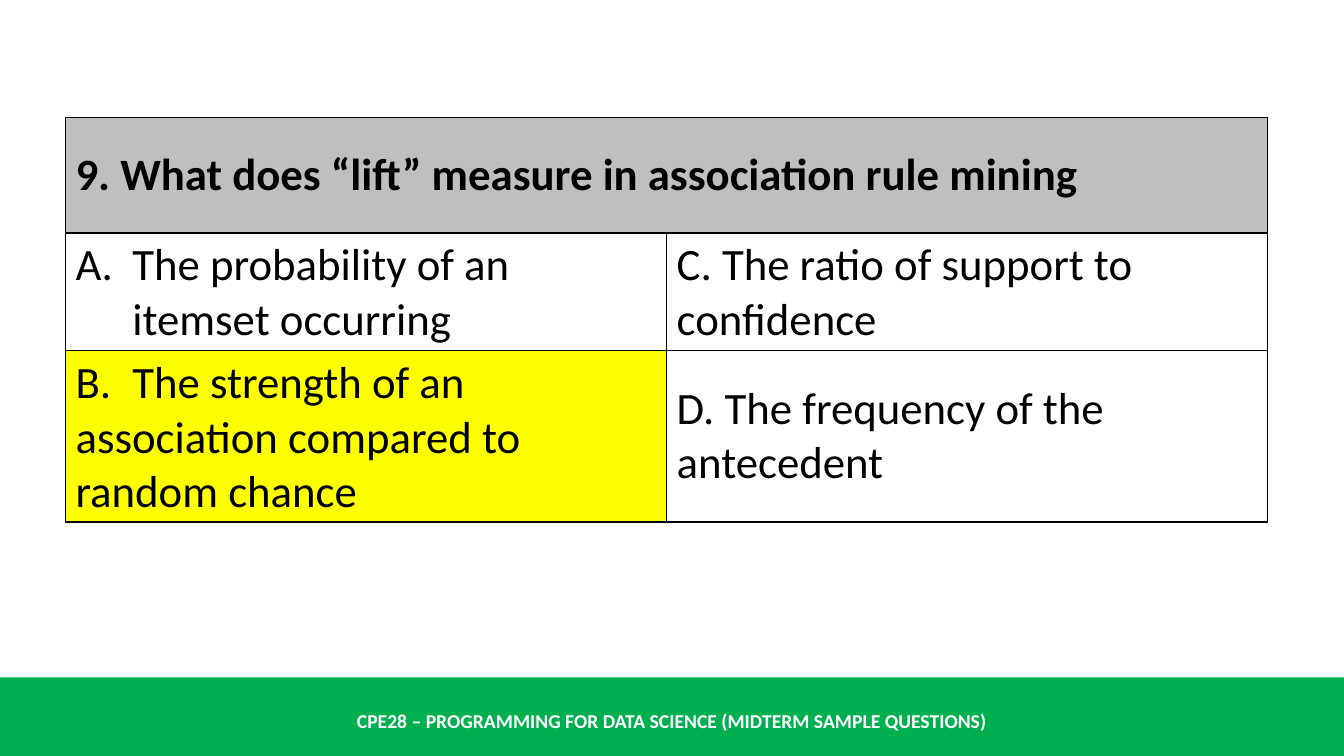
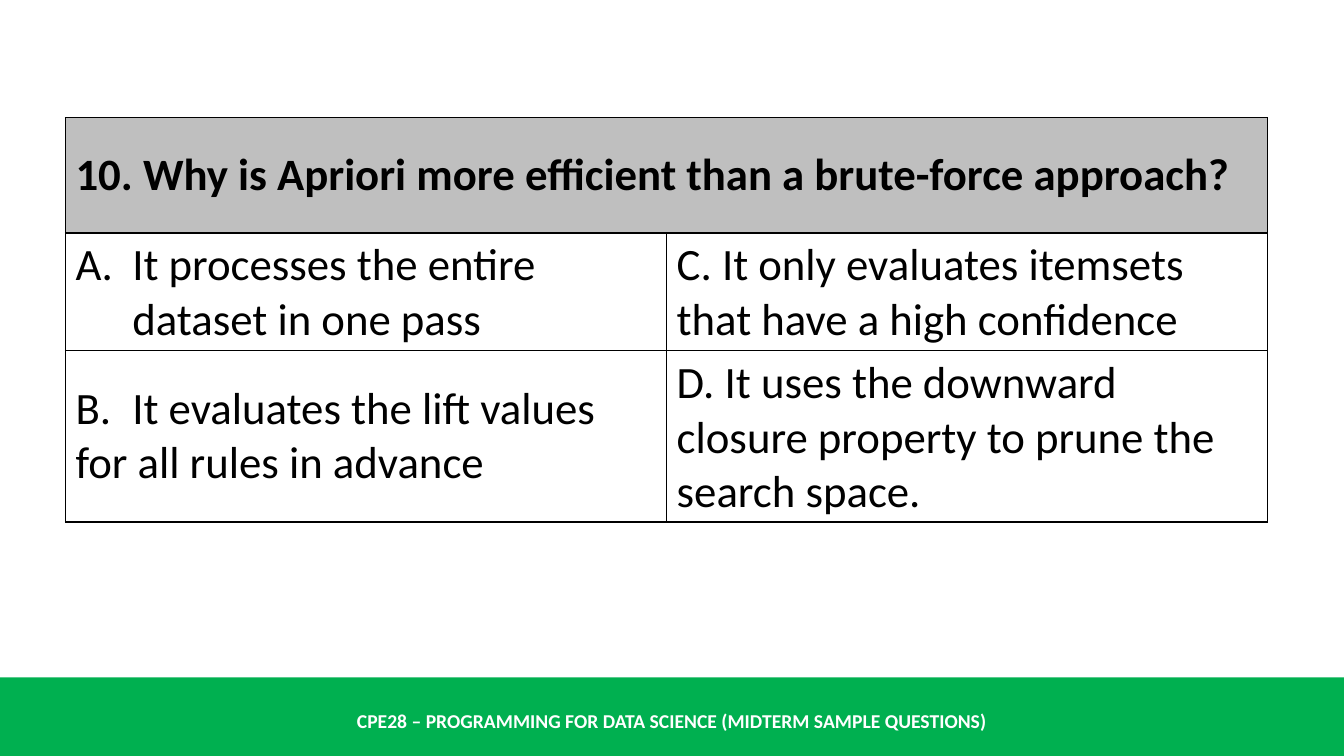
from dataclasses import dataclass

import pptx
import pptx.dml.color
import pptx.enum.shapes
import pptx.enum.text
import pptx.oxml.ns
import pptx.slide
import pptx.table
import pptx.text.text
import pptx.util
from lxml import etree

Cm = pptx.util.Cm
Pt = pptx.util.Pt
RGBColor = pptx.dml.color.RGBColor
qn = pptx.oxml.ns.qn

BLACK = RGBColor(0x00, 0x00, 0x00)
WHITE = RGBColor(0xFF, 0xFF, 0xFF)
GREEN = RGBColor(0x00, 0xB0, 0x50)
GREY = RGBColor(0xBF, 0xBF, 0xBF)
YELLOW = RGBColor(0xFF, 0xFF, 0x00)

FONT = "Calibri"
SLIDE_WIDTH = Cm(33.87)
SLIDE_HEIGHT = Cm(19.05)
BAND_HEIGHT = Cm(1.98)
TABLE_LEFT = Cm(1.65)
TABLE_TOP = Cm(2.97)
COLUMN_WIDTH = Cm(15.15)
ROW_HEIGHT = Cm(2.9)
LETTER_INDENT = Cm(1.43)
FOOTER = "CPE28 – PROGRAMMING FOR DATA SCIENCE (MIDTERM SAMPLE QUESTIONS)"


@dataclass(frozen=True)
class Question:
    prompt: str
    first: str
    second: str
    third: str
    fourth: str
    highlighted: str = ""


QUESTIONS = [
    Question(
        "9. What does “lift” measure in association rule mining",
        "The probability of an itemset occurring",
        "B.\tThe strength of an association compared to random chance",
        "C. The ratio of support to confidence",
        "D. The frequency of the antecedent",
        highlighted="second",
    ),
    Question(
        "10. Why is Apriori more efficient than a brute-force approach?",
        "It processes the entire dataset in one pass",
        "B.\tIt evaluates the lift values for all rules in advance",
        "C. It only evaluates itemsets that have a high confidence",
        "D. It uses the downward closure property to prune the search space.",
    ),
]
ANSWER_CELLS = {"first": (1, 0), "second": (2, 0), "third": (1, 1), "fourth": (2, 1)}


def write(para: pptx.text.text._Paragraph, text: str, size: int,
          color: RGBColor, bold: bool) -> None:
    span = para.add_run()
    span.text = text
    span.font.name = FONT
    span.font.size = Pt(size)
    span.font.bold = bold
    span.font.color.rgb = color


def add_footer(page: pptx.slide.Slide) -> None:
    band = page.shapes.add_shape(
        pptx.enum.shapes.MSO_SHAPE.RECTANGLE,
        0, SLIDE_HEIGHT - BAND_HEIGHT, SLIDE_WIDTH, BAND_HEIGHT)
    band.shadow.inherit = False
    band.fill.solid()
    band.fill.fore_color.rgb = GREEN
    band.line.fill.background()

    box = page.shapes.add_textbox(0, Cm(17.65), SLIDE_WIDTH, Cm(1.02))
    frame = box.text_frame
    frame.word_wrap = True
    frame.vertical_anchor = pptx.enum.text.MSO_ANCHOR.MIDDLE
    para = frame.paragraphs[0]
    para.alignment = pptx.enum.text.PP_ALIGN.CENTER
    write(para, FOOTER, 14, WHITE, True)


def outline(cell: pptx.table._Cell) -> None:
    properties = cell._tc.get_or_add_tcPr()
    for side in ("a:lnL", "a:lnR", "a:lnT", "a:lnB"):
        line = etree.SubElement(properties, qn(side), w=str(Pt(1)))
        fill = etree.SubElement(line, qn("a:solidFill"))
        etree.SubElement(fill, qn("a:srgbClr"), val=str(BLACK))


def paint(cell: pptx.table._Cell, color: RGBColor) -> None:
    cell.fill.solid()
    cell.fill.fore_color.rgb = color


def number_with_letter(para: pptx.text.text._Paragraph) -> None:
    properties = para._p.get_or_add_pPr()
    properties.set("marL", str(LETTER_INDENT))
    properties.set("indent", str(-LETTER_INDENT))
    etree.SubElement(properties, qn("a:buFont"), typeface="+mj-lt")
    etree.SubElement(properties, qn("a:buAutoNum"), type="alphaUcPeriod")


def add_letter_tab(para: pptx.text.text._Paragraph) -> None:
    tabs = etree.SubElement(para._p.get_or_add_pPr(), qn("a:tabLst"))
    etree.SubElement(tabs, qn("a:tab"), pos=str(LETTER_INDENT), algn="l")


def add_question(page: pptx.slide.Slide, question: Question) -> None:
    table = page.shapes.add_table(
        3, 2, TABLE_LEFT, TABLE_TOP, 2 * COLUMN_WIDTH, 3 * ROW_HEIGHT).table
    table.first_row = False
    table.horz_banding = False
    for column in table.columns:
        column.width = COLUMN_WIDTH
    for row in table.rows:
        row.height = ROW_HEIGHT
    for cell in table.iter_cells():
        outline(cell)
        cell.fill.background()
        cell.vertical_anchor = pptx.enum.text.MSO_ANCHOR.MIDDLE

    heading = table.cell(0, 0)
    heading.merge(table.cell(0, 1))
    paint(heading, GREY)
    write(heading.text_frame.paragraphs[0], question.prompt, 32, BLACK, True)

    for name, position in ANSWER_CELLS.items():
        cell = table.cell(*position)
        para = cell.text_frame.paragraphs[0]
        if name == "first":
            number_with_letter(para)
        elif name == "second":
            add_letter_tab(para)
        if name == question.highlighted:
            paint(cell, YELLOW)
        write(para, getattr(question, name), 32, BLACK, False)


def main() -> None:
    deck = pptx.Presentation()
    deck.slide_width = SLIDE_WIDTH
    deck.slide_height = SLIDE_HEIGHT
    for question in QUESTIONS:
        page = deck.slides.add_slide(deck.slide_layouts[6])
        add_footer(page)
        add_question(page, question)
    deck.save("out.pptx")


if __name__ == "__main__":
    main()
